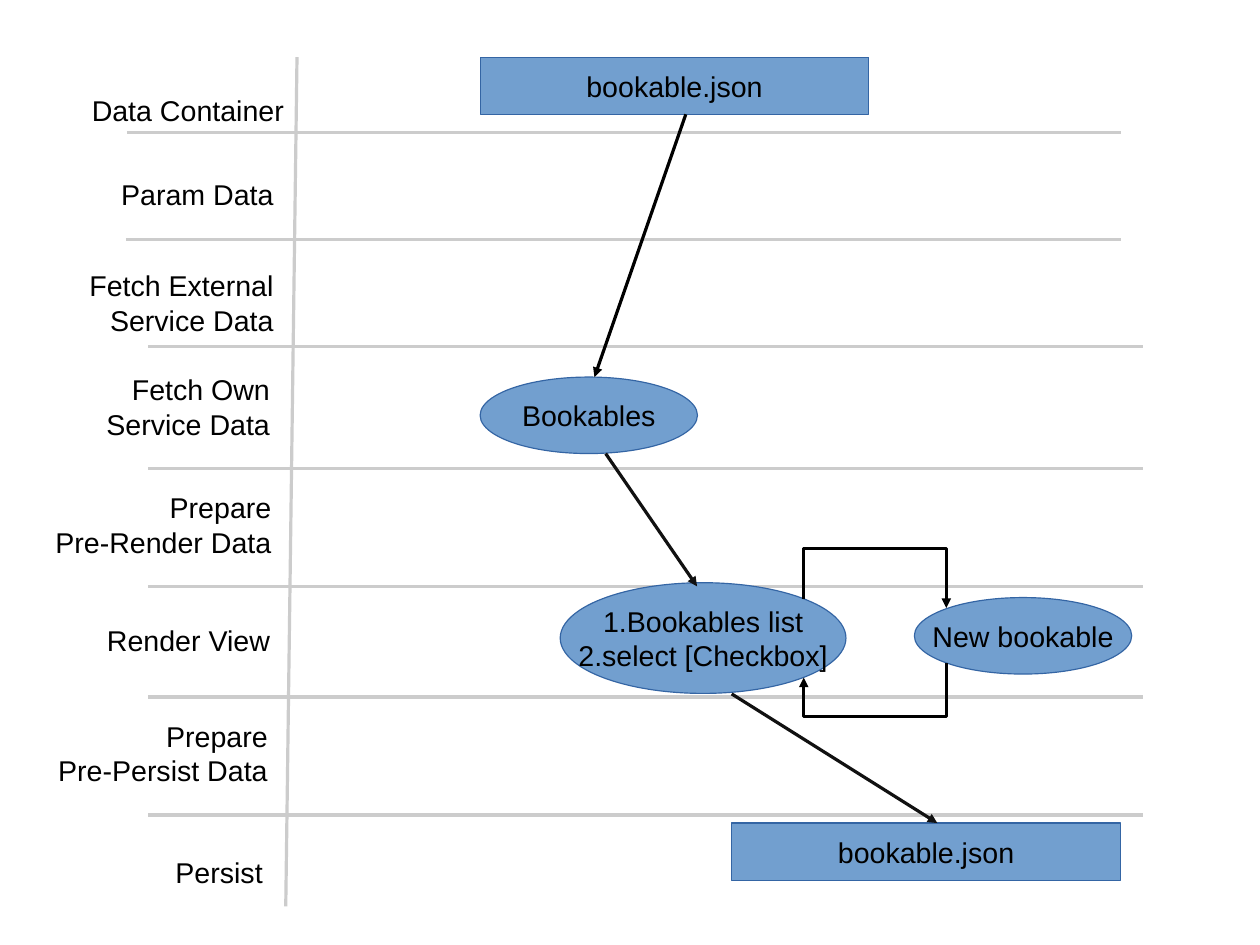
"""Draw the data flow of the bookable view across its processing stages."""
from lxml.etree import SubElement
from pptx import Presentation
from pptx.dml.color import RGBColor
from pptx.enum.shapes import MSO_CONNECTOR, MSO_SHAPE
from pptx.enum.text import MSO_ANCHOR, PP_ALIGN
from pptx.oxml.ns import qn
from pptx.util import Cm, Pt

STRAIGHT, ELBOW = MSO_CONNECTOR.STRAIGHT, MSO_CONNECTOR.ELBOW
RECT, OVAL = MSO_SHAPE.RECTANGLE, MSO_SHAPE.OVAL
CENTER, RIGHT = PP_ALIGN.CENTER, PP_ALIGN.RIGHT
TOP, MIDDLE = MSO_ANCHOR.TOP, MSO_ANCHOR.MIDDLE

GRID, BLACK, DARK = "CCCCCC", "000000", "111111"
NODE_FILL, NODE_LINE = "729FCF", "3465A4"
INSET = 0.25
LABEL_WIDTH = 5.4
DIVIDER_WIDTH = 22.1

# Stage lines, right edge of the wording, top of the label
STAGES = [
    (["Data Container"], 6.31, 1.93),
    (["Param Data"], 6.08, 3.81),
    (["Fetch External", "Service Data"], 6.08, 5.84),
    (["Fetch Own", "Service Data"], 6.0, 8.15),
    (["Prepare", "Pre-Render Data"], 6.03, 10.77),
    (["Render View"], 6.0, 13.72),
    (["Prepare", "Pre-Persist Data"], 5.95, 15.85),
    (["Persist"], 5.84, 18.87),
]
# Left end and height of each divider
DIVIDERS = [(2.82, 2.95), (2.8, 5.33), (3.3, 7.7), (3.3, 10.41),
            (3.3, 13.03), (3.3, 15.49), (3.3, 18.11)]
STAGE_AXIS = ((6.6, 1.27), (6.35, 20.14))

FILE_SIZE, STEP_SIZE, LIST_SIZE = (8.64, 1.27), (4.83, 1.7), (6.35, 2.46)
NODES = [
    (RECT, ["bookable.json"], (10.67, 1.27), FILE_SIZE),
    (OVAL, ["Bookables"], (10.67, 8.38), STEP_SIZE),
    (OVAL, ["1.Bookables list", "2.select [Checkbox]"], (12.45, 12.95), LIST_SIZE),
    (OVAL, ["New bookable"], (20.32, 13.28), STEP_SIZE),
    (RECT, ["bookable.json"], (16.26, 18.29), FILE_SIZE),
]
FLOWS = [
    ((15.24, 2.54), (13.21, 8.38), BLACK),
    ((13.46, 10.08), (15.49, 13.03), DARK),
    ((16.26, 15.42), (20.83, 18.29), DARK),
]
# Start, end and height of the crossbar
LOOPS = [
    ((17.86, 13.31), (21.03, 13.51), 12.19),
    ((21.03, 14.73), (17.86, 15.06), 15.93),
]


def paint(color_format, color):
    color_format.rgb = RGBColor.from_string(color)


def write(holder, lines, align=CENTER, anchor=MIDDLE, size=18, font="Arial", color=BLACK, wrap=False):
    frame = holder.text_frame
    frame.word_wrap = wrap
    frame.vertical_anchor = anchor
    frame.margin_left = frame.margin_right = Cm(INSET)
    frame.margin_top = frame.margin_bottom = Cm(INSET / 2)
    frame.text = "\n".join(lines)
    for paragraph in frame.paragraphs:
        paragraph.alignment = align
        paragraph.font.size = Pt(size)
        paragraph.font.name = font
        paint(paragraph.font.color, color)


def connect(shapes, start, end, color, arrow=True, kind=STRAIGHT):
    link = shapes.add_connector(kind, *(Cm(value) for value in (*start, *end)))
    paint(link.line.color, color)
    link.line.width = Pt(0)
    properties = link._element.spPr
    if arrow:
        SubElement(properties.find(qn("a:ln")), qn("a:tailEnd"), type="triangle")
    SubElement(properties, qn("a:effectLst"))
    return properties


def connect_loop(shapes, start, end, crossbar):
    """Turn a sideways elbow upright, with its crossbar beyond both ends."""
    (x1, y1), (x2, y2) = start, end
    rightward = x2 > x1
    middle_x, middle_y = (x1 + x2) / 2, (y1 + y2) / 2
    half_width, half_height = (y2 - y1) / 2, abs(x2 - x1) / 2
    reach = -half_width if rightward else half_width
    properties = connect(shapes, (middle_x - reach, middle_y - half_height),
                         (middle_x + reach, middle_y + half_height), BLACK, kind=ELBOW)
    properties.find(qn("a:xfrm")).set("rot", str((270 if rightward else 90) * 60000))
    bend = round((crossbar - y1) / (y2 - y1) * 100000)
    adjustments = properties.find(qn("a:prstGeom")).find(qn("a:avLst"))
    SubElement(adjustments, qn("a:gd"), name="adj1", fmla=f"val {bend}")


def main():
    deck = Presentation()
    deck.slide_width, deck.slide_height = Cm(28), Cm(21)
    shapes = deck.slides.add_slide(deck.slide_layouts[6]).shapes

    for left, y in DIVIDERS:
        connect(shapes, (left, y), (left + DIVIDER_WIDTH, y), GRID, arrow=False)
    connect(shapes, *STAGE_AXIS, GRID, arrow=False)

    for lines, right, top in STAGES:
        left = right + INSET - LABEL_WIDTH
        height = 0.25 + 0.71 * len(lines)
        label = shapes.add_textbox(Cm(left), Cm(top), Cm(LABEL_WIDTH), Cm(height))
        write(label, lines, align=RIGHT, anchor=TOP, wrap=True)

    for outline, lines, place, size in NODES:
        node = shapes.add_shape(outline, *(Cm(value) for value in (*place, *size)))
        node.shadow.inherit = False
        node.fill.solid()
        paint(node.fill.fore_color, NODE_FILL)
        paint(node.line.color, NODE_LINE)
        node.line.width = Pt(0)
        write(node, lines)

    for start, end, color in FLOWS:
        connect(shapes, start, end, color)
    for start, end, crossbar in LOOPS:
        connect_loop(shapes, start, end, crossbar)

    deck.save("out.pptx")


if __name__ == "__main__":
    main()
